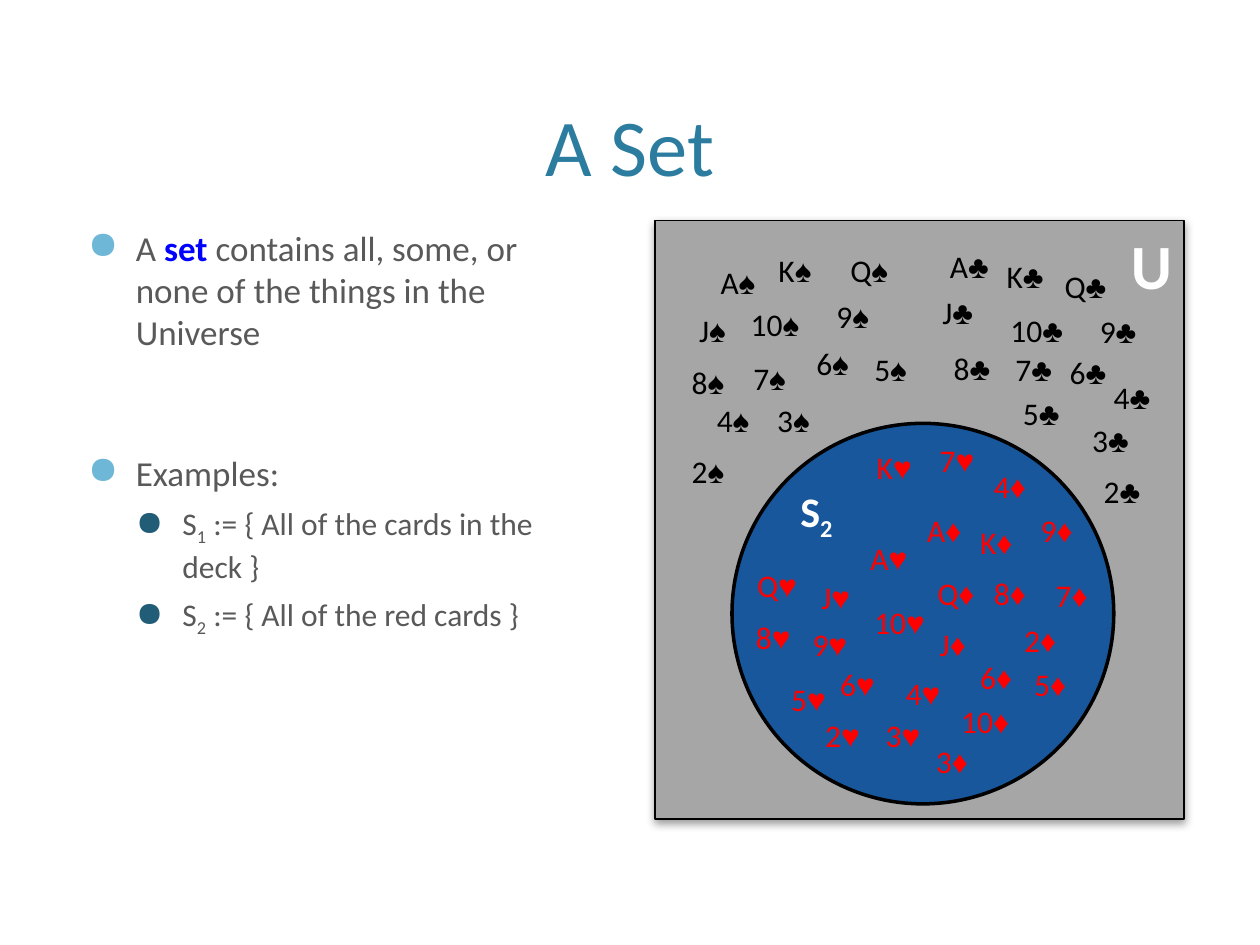
"""Builds the slide "A Set": a definition beside a diagram of a card deck."""
from lxml.etree import SubElement
from pptx import Presentation
from pptx.dml.color import RGBColor
from pptx.enum.shapes import MSO_SHAPE
from pptx.enum.text import MSO_ANCHOR, MSO_AUTO_SIZE, PP_ALIGN
from pptx.oxml.ns import qn
from pptx.util import Inches, Pt

BLACK, WHITE, RED, GRAY = "000000", "FFFFFF", "FF0000", "595959"
SUBSCRIPT = {"baseline": -25}

TITLE = "A Set"
TOP_LEVEL = {"size": 20, "margin": 0.38, "indent": -0.38, "bullet": "6FB7D7"}
SUB_LEVEL = {"size": 18, "margin": 0.75, "indent": -0.37, "bullet": "215D77"}
BODY = [
    (TOP_LEVEL, 16, [
        ("A ", {}),
        ("set ", {"color": "0000FF", "bold": True}),
        ("contains all, some, or none of the things in the Universe", {}),
    ]),
    (TOP_LEVEL, 56.4, [("Examples:", {})]),
    (SUB_LEVEL, 6, [("S", {}), ("1", SUBSCRIPT), (" := { All of the cards in the deck }", {})]),
    (SUB_LEVEL, 6, [("S", {}), ("2", SUBSCRIPT), (" := { All of the red cards }", {})]),
]

RANKS = ["K", "A", "Q", "J", "10", "9", "8", "7", "6", "5", "4", "3", "2"]
CARD_WIDTHS = {"K": 0.56, "Q": 0.58, "J": 0.52, "10": 0.71}
CARD_WIDTH, CARD_HEIGHT = 0.55, 0.4
SUITS = [
    ("♠", BLACK, True, [
        (6.08, 1.94), (5.62, 2.04), (6.65, 1.94), (5.45, 2.42), (5.86, 2.37),
        (6.54, 2.31), (5.39, 2.83), (5.88, 2.8), (6.38, 2.68), (6.84, 2.73),
        (5.59, 3.13), (6.07, 3.13), (5.39, 3.54)]),
    ("♣", BLACK, True, [
        (7.89, 1.99), (7.44, 1.91), (8.35, 2.07), (7.38, 2.28), (7.92, 2.42),
        (8.63, 2.43), (7.47, 2.72), (7.96, 2.73), (8.39, 2.75), (8.02, 3.08),
        (8.74, 2.95), (8.57, 3.29), (8.66, 3.7)]),
    ("♥", RED, True, [
        (6.86, 3.51), (6.81, 4.23), (5.91, 4.44), (6.42, 4.54), (6.84, 4.74),
        (6.35, 4.91), (5.9, 4.86), (7.36, 3.45), (6.57, 5.23), (6.18, 5.35),
        (7.09, 5.3), (6.93, 5.63), (6.45, 5.63)]),
    ("♦", RED, False, [
        (7.68, 4.1), (7.26, 4.01), (7.34, 4.51), (7.36, 4.91), (7.53, 5.52),
        (8.16, 4.01), (7.79, 4.51), (8.28, 4.52), (7.68, 5.17), (8.11, 5.23),
        (7.79, 3.66), (7.33, 5.84), (8.03, 4.88)]),
]


def rgb(value):
    return RGBColor.from_string(value)


def add_span(para, text, size, color, bold=False, font="Calibri", baseline=0):
    span = para.add_run()
    span.text = text
    span.font.name = font
    span.font.size = Pt(size)
    span.font.bold = bold
    span.font.color.rgb = rgb(color)
    if baseline:
        span.font._element.set("baseline", str(baseline * 1000))


def add_box(page, left, top, width, height, wrap=True):
    box = page.shapes.add_textbox(Inches(left), Inches(top), Inches(width), Inches(height))
    box.text_frame.word_wrap = wrap
    return box


def add_region(page, kind, left, top, width, height, fill, line_width, align):
    region = page.shapes.add_shape(
        kind, Inches(left), Inches(top), Inches(width), Inches(height))
    region.shadow.inherit = False
    region.fill.solid()
    region.fill.fore_color.rgb = rgb(fill)
    region.line.color.rgb = rgb(BLACK)
    region.line.width = Pt(line_width)
    region.text_frame.vertical_anchor = MSO_ANCHOR.TOP
    region.text_frame.paragraphs[0].alignment = align
    return region


def add_soft_shadow(shape):
    effects = shape._element.spPr.find(qn("a:effectLst"))
    shadow = SubElement(effects, qn("a:outerShdw"), blurRad=str(Pt(5)), dist=str(Pt(2)),
                        dir=str(90 * 60000), rotWithShape="0")
    color = SubElement(shadow, qn("a:srgbClr"), val=BLACK)
    SubElement(color, qn("a:alpha"), val="40000")


def set_bullet(para, level):
    properties = para._p.get_or_add_pPr()
    properties.set("marL", str(Inches(level["margin"])))
    properties.set("indent", str(Inches(level["indent"])))
    color = SubElement(properties, qn("a:buClr"))
    SubElement(color, qn("a:srgbClr"), val=level["bullet"])
    SubElement(properties, qn("a:buSzPct"), val="110000")
    SubElement(properties, qn("a:buChar"), char="●")


def add_title(page):
    box = add_box(page, 0.6, 0.12, 8.8, 1.46)
    box.text_frame.vertical_anchor = MSO_ANCHOR.BOTTOM
    para = box.text_frame.paragraphs[0]
    para.alignment = PP_ALIGN.CENTER
    add_span(para, TITLE, 46, "2C7C9F")


def add_body(page):
    frame = add_box(page, 0.6, 1.75, 4.2, 4.75).text_frame
    for index, (level, space, spans) in enumerate(BODY):
        para = frame.add_paragraph() if index else frame.paragraphs[0]
        para.space_before = Pt(space)
        set_bullet(para, level)
        for text, style in spans:
            add_span(para, text, level["size"], **{"color": GRAY, **style})


def add_sets(page):
    universe = add_region(page, MSO_SHAPE.RECTANGLE, 5.2, 1.75, 4.2, 4.75,
                          "A6A6A6", 1, PP_ALIGN.RIGHT)
    add_soft_shadow(universe)
    add_span(universe.text_frame.paragraphs[0], "U", 36, WHITE, bold=True)
    red_cards = add_region(page, MSO_SHAPE.OVAL, 5.81, 3.36, 3.03, 3.02,
                           "18579B", 2, PP_ALIGN.LEFT)
    para = red_cards.text_frame.paragraphs[0]
    add_span(para, "S", 24, WHITE, bold=True)
    add_span(para, "2", 24, WHITE, bold=True, **SUBSCRIPT)


def add_cards(page):
    for symbol, color, bold, places in SUITS:
        for rank, (left, top) in zip(RANKS, places):
            width = CARD_WIDTHS.get(rank, CARD_WIDTH)
            frame = add_box(page, left, top, width, CARD_HEIGHT, wrap=False).text_frame
            frame.auto_size = MSO_AUTO_SIZE.SHAPE_TO_FIT_TEXT
            add_span(frame.paragraphs[0], rank, 18, color)
            add_span(frame.paragraphs[0], symbol, 18, color, bold, "Arial")


def main():
    deck = Presentation()
    deck.slide_width, deck.slide_height = Inches(10), Inches(7.5)
    page = deck.slides.add_slide(deck.slide_layouts[6])
    add_title(page)
    add_body(page)
    add_sets(page)
    add_cards(page)
    deck.save("out.pptx")


if __name__ == "__main__":
    main()
